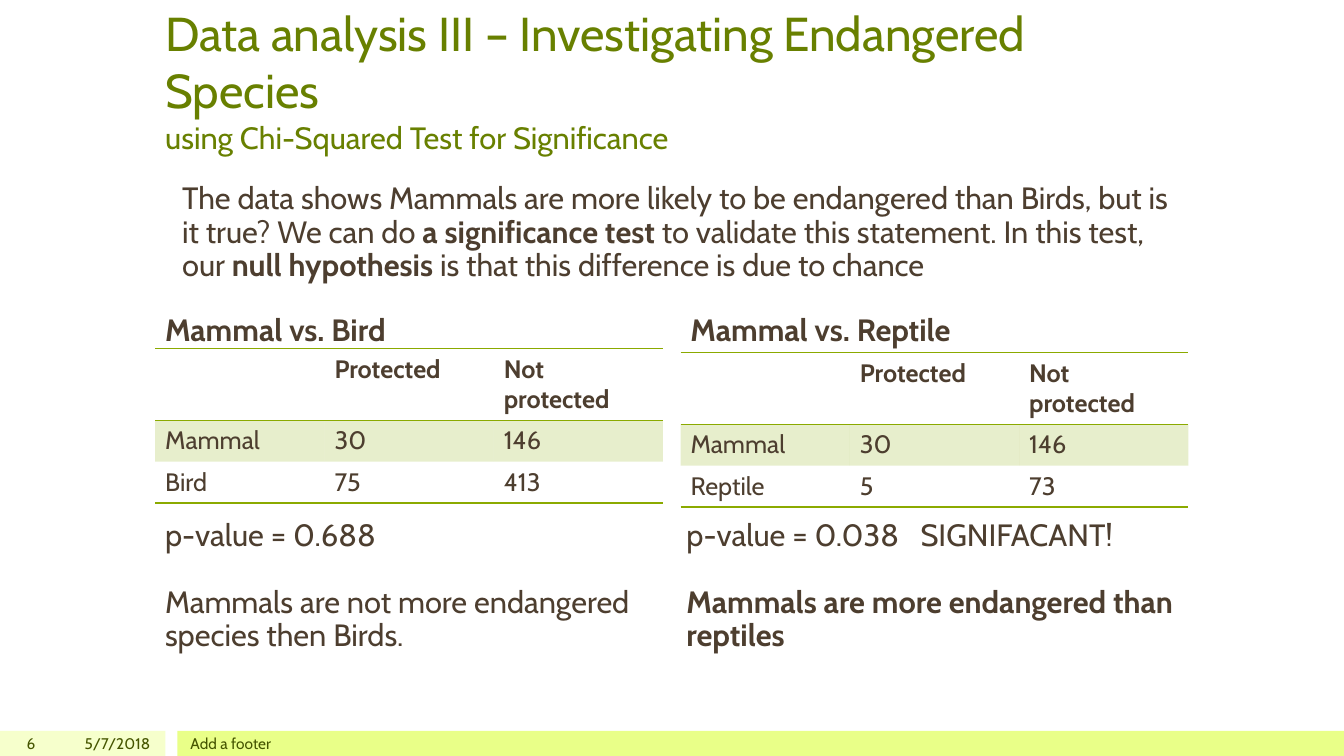
from lxml import etree
from pptx import Presentation
from pptx.dml.color import RGBColor
from pptx.enum.shapes import MSO_SHAPE
from pptx.enum.text import MSO_ANCHOR, MSO_AUTO_SIZE, PP_ALIGN
from pptx.oxml.ns import qn
from pptx.util import Cm, Pt

LEFT, RIGHT = PP_ALIGN.LEFT, PP_ALIGN.RIGHT
BOTTOM, MIDDLE = MSO_ANCHOR.BOTTOM, MSO_ANCHOR.MIDDLE
RECT, FIXED = MSO_SHAPE.RECTANGLE, MSO_AUTO_SIZE.NONE
OLIVE = RGBColor(0x68, 0x80, 0x00)
BROWN = RGBColor(0x4D, 0x3E, 0x2F)
GREEN = RGBColor(0x8B, 0xAA, 0x00)
MOSS = RGBColor(0x45, 0x55, 0x00)
PALE = RGBColor(0xF6, 0xFF, 0xCC)
LIME = RGBColor(0xE9, 0xFF, 0x88)
FACE = "Cabin"
PLAIN = "{2D5ABB26-0587-4C30-8999-92F81FD0307C}"
EDGES = {"top": "a:lnT", "low": "a:lnB"}


def style(para, size, color, bold=None):
    font = para.font
    font.name, font.size, font.bold = FACE, Pt(size), bold
    font.color.rgb = color


def add_text(slide, box, anchor=BOTTOM):
    frame = slide.shapes.add_textbox(*map(Cm, box)).text_frame
    frame.word_wrap = True
    frame.auto_size = FIXED
    frame.vertical_anchor = anchor
    return frame


def add_title(slide, box, head, sub):
    title = slide.shapes.title
    title.left, title.top, title.width, title.height = map(Cm, box)
    frame = title.text_frame
    frame.word_wrap = True
    frame.auto_size = FIXED
    frame.vertical_anchor = BOTTOM
    para = frame.paragraphs[0]
    para.alignment = LEFT
    style(para, 34, OLIVE)
    para.add_run().text = head
    para.add_line_break()
    run = para.add_run()
    run.text = sub
    run.font.size = Pt(22)


def add_intro(slide, box, parts):
    para = add_text(slide, box).paragraphs[0]
    para.line_spacing = 0.9
    style(para, 22, BROWN)
    for text, bold in parts:
        run = para.add_run()
        run.text = text
        run.font.bold = bold


def add_edge(cell, tag):
    line = etree.SubElement(cell._tc.get_or_add_tcPr(), qn(tag), w=str(Pt(1)))
    fill = etree.SubElement(line, qn("a:solidFill"))
    etree.SubElement(fill, qn("a:srgbClr"), val=str(GREEN))


def add_grid(slide, box, rows):
    count, cols = len(rows), len(rows[0])
    table = slide.shapes.add_table(count, cols, *map(Cm, box)).table
    table._tbl.tblPr.find(qn("a:tableStyleId")).text = PLAIN
    for row, high in zip(table.rows, (1.79, 1.04, 1.04)):
        row.height = Cm(high)
    for r, row in enumerate(rows):
        for c, text in enumerate(row):
            cell = table.cell(r, c)
            para = cell.text_frame.paragraphs[0]
            para.text = text
            style(para, 18, BROWN, r == 0)
            if r == 0:
                add_edge(cell, EDGES["top"])
            if r in (0, count - 1):
                add_edge(cell, EDGES["low"])
            if r == 1:
                cell.fill.solid()
                cell.fill.fore_color.rgb = GREEN
                tint = cell._tc.tcPr.find(qn("a:solidFill"))[0]
                etree.SubElement(tint, qn("a:alpha"), val="20000")
            else:
                cell.fill.background()


def add_tab(para, stop):
    tabs = etree.Element(qn("a:tabLst"))
    etree.SubElement(tabs, qn("a:tab"), pos=str(Cm(stop)), algn="l")
    para._p.get_or_add_pPr().insert_element_before(tabs, "a:defRPr")


def add_test(slide, box, rival, counts, result, verdict, bold, drop, shift):
    left, top, width, height = box
    head = add_text(slide, (left, top, width, 1.19)).paragraphs[0]
    head.text = f"Mammal vs. {rival}"
    head.line_spacing = 0.9
    style(head, 22, BROWN, True)
    rows = [("", "Protected", "Not protected"),
            ("Mammal", "30", "146"), (rival, *counts)]
    add_grid(slide, (left, top + drop, width, 3.87), rows)
    start = 5.25
    frame = add_text(slide, (left + shift, top + start, width, height - start))
    first, last = frame.paragraphs[0], frame.add_paragraph()
    last.space_before = Pt(23.8)
    for para, text, weight in ((first, result, False), (last, verdict, bold)):
        para.text = text
        para.line_spacing = 0.9
        style(para, 22, BROWN, weight)
    if "\t" in result:
        add_tab(first, 5.9)


def add_footer(slide, box):
    left, top, width, height = box
    gap = 4.47
    for x, wide, color in ((0, 4.17, PALE), (gap, width - gap, LIME)):
        bar = slide.shapes.add_shape(
            RECT, *map(Cm, (left + x, top, wide, height)))
        bar.shadow.inherit = False
        bar.fill.solid()
        bar.fill.fore_color.rgb = color
        bar.line.fill.background()
    for x, wide, text, align in ((0, 1.14, "6", RIGHT),
                                 (1.27, 2.77, "5/7/2018", RIGHT),
                                 (4.55, 25.4, "Add a footer", LEFT)):
        spot = (left + x, top, wide, height)
        para = add_text(slide, spot, MIDDLE).paragraphs[0]
        para.text = text
        para.alignment = align
        style(para, 11, MOSS)


deck = Presentation()
deck.slide_width, deck.slide_height = Cm(33.87), Cm(19.05)
slide = deck.slides.add_slide(deck.slide_layouts[5])
add_footer(slide, (0, 18.42, 33.87, 0.63))
add_title(slide, (3.91, 0.76, 26.04, 3.28),
          "Data analysis III – Investigating Endangered Species",
          "using Chi-Squared Test for Significance")
add_intro(slide, (4.34, 4.47, 25.4, 2.79), (
    ("The data shows Mammals are more likely to be endangered than Birds, "
     "but is it true? We can do ", False),
    ("a significance test ", True),
    ("to validate this statement. In this test, our ", False),
    ("null hypothesis ", True),
    ("is that this difference is due to chance", False)))
add_test(slide, (3.91, 7.7, 12.8, 8.89), "Bird", ("75", "413"),
         "p-value = 0.688",
         "Mammals are not more endangered species then Birds.",
         False, 1.09, 0)
add_test(slide, (17.15, 7.7, 12.8, 8.89), "Reptile", ("5", "73"),
         "p-value = 0.038\tSIGNIFACANT!",
         "Mammals are more endangered than reptiles",
         True, 1.19, -0.1)
deck.save("out.pptx")
